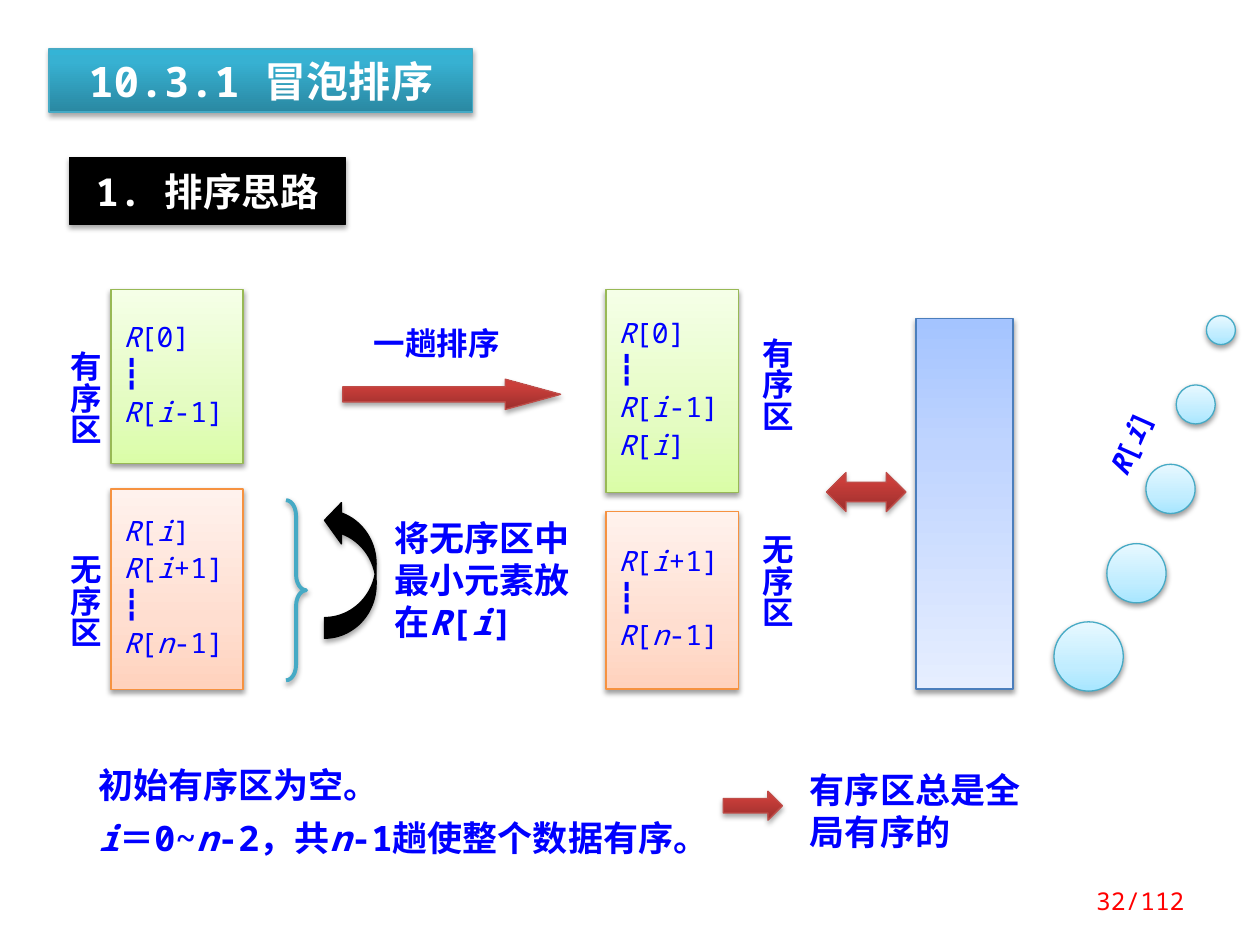
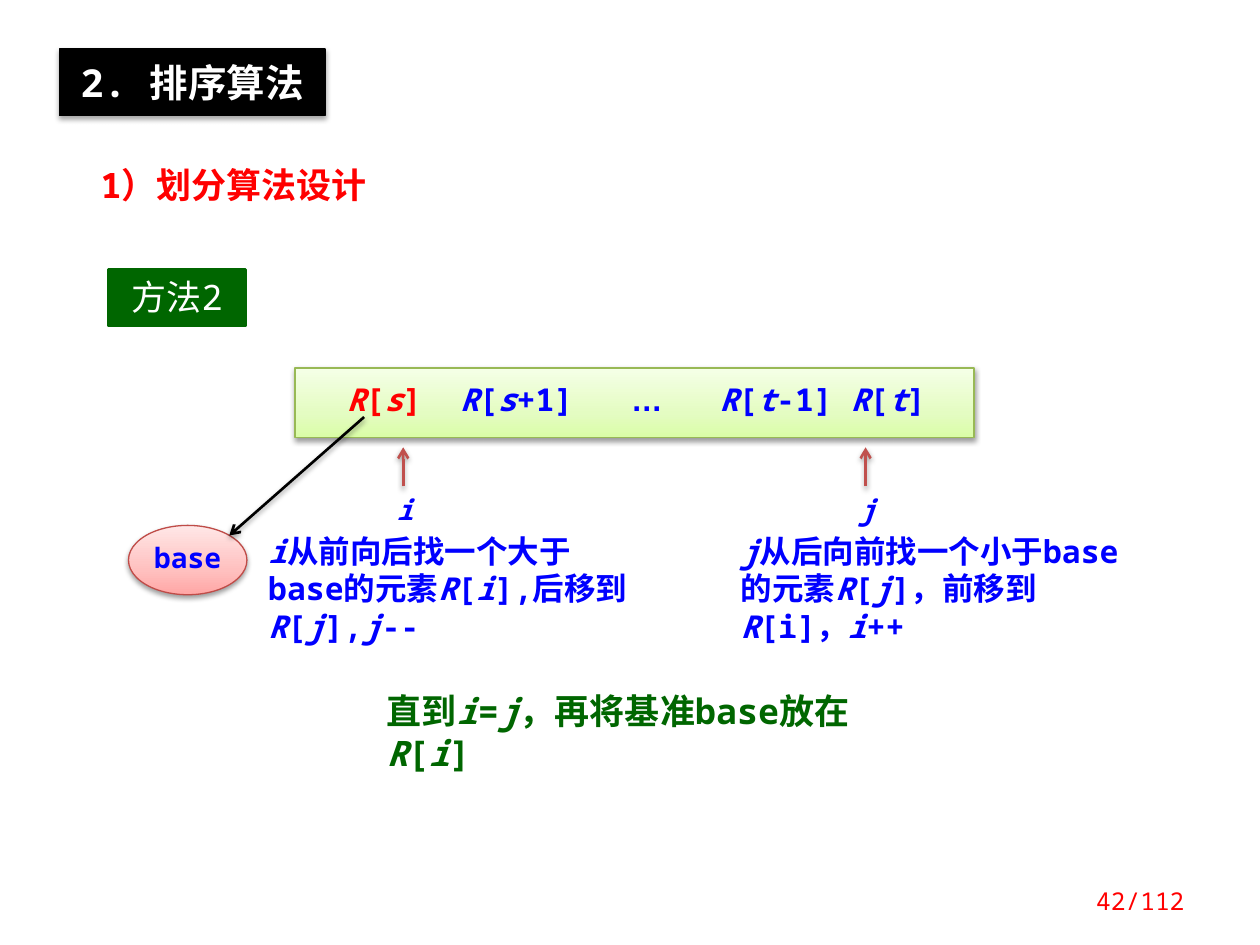
import pptx
import pptx.util
import pptx.dml.color
import pptx.enum.shapes
import pptx.enum.text
import pptx.oxml
import pptx.oxml.ns

# Content: text between asterisks is italic
HEADING = "10.3.1 冒泡排序"
PAGE_TOTAL = 112
SORTED, UNSORTED = "有序区", "无序区"
SORTED_BEFORE = ["*R*[0]", "┇", "*R*[*i*-1]"]
UNSORTED_BEFORE = ["*R*[*i*]", "*R*[*i*+1]", "┇", "*R*[*n*-1]"]
SORTED_AFTER = SORTED_BEFORE + ["*R*[*i*]"]
UNSORTED_AFTER = UNSORTED_BEFORE[1:]

# Zone boxes: items, style, (left, top, width, height), label, label place
ZONES = [
    (SORTED_BEFORE, "sorted", (0.88, 2.3, 1.05, 1.38), SORTED, (0.38, 2.69, 0.44, 1.18), 0.8),
    (UNSORTED_BEFORE, "unsorted", (0.88, 3.88, 1.05, 1.59), UNSORTED, (0.38, 4.3, 0.44, 1.18), 0.8),
    (SORTED_AFTER, "sorted", (4.81, 2.3, 1.05, 1.61), SORTED, (5.87, 2.58, 0.5, 1.18), 1),
    (UNSORTED_AFTER, "unsorted", (4.81, 4.06, 1.05, 1.41), UNSORTED, (5.87, 4.14, 0.5, 1.18), 1),
]
BUBBLE_CENTRES = [(8.64, 5.21), (9.02, 4.55), (9.29, 3.88), (9.49, 3.21), (9.69, 2.62)]
BUBBLE_SIZE, BUBBLE_STEP = 0.55, 0.08
RED_ARROWS = [
    ("RIGHT_ARROW", (2.72, 3.01, 1.73, 0.24), (0.5, 1.83)),
    ("LEFT_RIGHT_ARROW", (6.56, 3.75, 0.63, 0.31), ()),
    ("RIGHT_ARROW", (5.74, 6.28, 0.47, 0.23), ()),
]
SORT_NOTES = [
    (["将无序区中最小元素放在*R*[*i*]"], (3.03, 4.05, 1.65, 1.11), {"size": 20}),
    (["一趟排序"], (2.87, 2.58, 1.27, 0.34), {"size": 18, "spacing": 0.8}),
    (["初始有序区为空。", "*i*＝0~*n*-2，共*n*-1趟使整个数据有序。"], (0.62, 5.94, 4.92, 1),
     {"size": 20, "insets": (0.16, 0.12, 0.1, 0.12)}),
    (["有序区总是全局有序的"], (6.33, 6.05, 1.95, 0.77), {"size": 20}),
]

ARRAY_CELLS = [("*R*[*s*]\t", {"color": "red"}), ("*R*[*s*+1]\t", {}),
               ("…\t", {"font": "Arial"}), ("*R*[*t*-1]\t*R*[*t*]", {})]
ARRAY_TABS = [0.9, 2.26, 2.96, 4]
# Index pointers: name, arrow x, rule, rule place
POINTERS = [
    ("*i*", 3.2, "*i*从前向后找一个大于base的元素*R*[*i*],后移到*R*[*j*],*j*--", (2.03, 4.17, 3.13, 1.01)),
    ("*j*", 6.87, "*j*从后向前找一个小于base的元素*R*[*j*]，前移到*R*[i]，*i*++", (5.78, 4.17, 3.2, 1.01)),
]
PARTITION_NOTES = [
    (["直到*i*=*j*，再将基准base放在*R*[*i*]"], (2.97, 5.42, 4.3, 0.44), {"size": 20, "color": "green"}),
    (["1）划分算法设计"], (0.7, 1.25, 2.58, 0.44), {"size": 20, "color": "red"}),
]

# Look
FONT = "Noto Sans Mono"
COLORS = {"blue": "0000FF", "red": "FF0000", "green": "006600", "white": "FFFFFF",
          "black": "000000", "teal": "46AAC5", "pointer": "C0504D"}
# Style: gradient stops (or one colour), line colour, shadow opacity, gradient angle
STYLES = {
    "heading": ([(0, "2A88A2"), (80, "37B1D2"), (100, "34B4D6")], "46AAC5", 35, 270),
    "bubble": ([(0, "A7E6FF"), (35, "C1EDFF"), (100, "E7F8FF")], "46AAC5", 38, 270),
    "sorted": ([(0, "DAFDA7"), (35, "E4FCC2"), (100, "F5FFE7")], "98B955", 38, 270),
    "unsorted": ([(0, "FFD2BD"), (35, "FFDED0"), (100, "FFF2ED")], "F69240", 38, 270),
    "arrow": ([(0, "9C2F2D"), (80, "CB3E3A"), (100, "CE3B37")], "BF4C48", 35, 270),
    "beaker": ([(0, "A4C4FF"), (35, "BFD4FF"), (100, "E6EEFF")], "4B7EBC", 38, 90),
    "base": ([(0, "FFA6A5"), (35, "FFC0BF"), (100, "FFE7E7")], "BF4C48", 38, 270),
    "black": ("000000", "000000", 35, 0),
    "method": ("006600", "006600", 0, 0),
}
NS = 'xmlns:a="http://schemas.openxmlformats.org/drawingml/2006/main"'
SHAPE = pptx.enum.shapes.MSO_SHAPE
ALIGN = pptx.enum.text.PP_ALIGN
ANCHOR = pptx.enum.text.MSO_ANCHOR

prs = pptx.Presentation()
prs.slide_width = pptx.util.Inches(10)
prs.slide_height = pptx.util.Inches(7.5)
UNIT = prs.slide_width // 10  # square grid of 10 columns by 7.5 rows


def grid(*lengths):
    return [round(n * UNIT) for n in lengths]


def rgb(value):
    return pptx.dml.color.RGBColor.from_string(COLORS.get(value, value))


def add_xml(parent, xml):
    parent.append(pptx.oxml.parse_xml(xml))


def add_shadow(effects, opacity):
    add_xml(effects, f'<a:outerShdw {NS} blurRad="39400" dist="21600" dir="5400000" rotWithShape="0">'
                     f'<a:srgbClr val="000000"><a:alpha val="{opacity * 1000}"/></a:srgbClr></a:outerShdw>')


def add_runs(p, marked, size, color="blue", bold=True, font=FONT):
    """Add runs to p, switching italic at each asterisk."""
    for k, part in enumerate(marked.split("*")):
        if not part:
            continue
        r = p.add_run()
        r.text = part
        for name, value in {"size": pptx.util.Pt(size), "bold": bold,
                            "italic": k % 2 == 1, "name": font}.items():
            setattr(r.font, name, value)
        r.font.color.rgb = rgb(color)
        add_xml(r.font._element, f'<a:ea {NS} typeface="{font}"/>')


def write(sp, lines, align="LEFT", anchor="TOP", spacing=1, gap=6,
          insets=(0.1, 0.05, 0.1, 0.05), **look):
    tf = sp.text_frame
    margins = zip(("margin_left", "margin_top", "margin_right", "margin_bottom"), grid(*insets))
    for name, value in {"word_wrap": True, "vertical_anchor": ANCHOR[anchor], **dict(margins)}.items():
        setattr(tf, name, value)
    for k, line in enumerate(lines):
        p = tf.add_paragraph() if k else tf.paragraphs[0]
        p.alignment, p.line_spacing = ALIGN[align], spacing
        if k:
            p.space_before = pptx.util.Pt(gap)
        add_runs(p, line, **look)
    return sp


def add_text(s, lines, place, **look):
    return write(s.shapes.add_textbox(*grid(*place)), lines, **look)


def add_shape(s, kind, place, style, adjustments=(), line_width=0.75):
    sp = s.shapes.add_shape(SHAPE[kind], *grid(*place))
    fill, line, opacity, angle = STYLES[style]
    if isinstance(fill, str):
        sp.fill.solid()
        sp.fill.fore_color.rgb = rgb(fill)
    else:
        sp.fill.gradient()
        old = sp._element.spPr.find(pptx.oxml.ns.qn("a:gradFill"))
        stops = "".join(f'<a:gs pos="{at * 1000}"><a:srgbClr val="{c}"/></a:gs>' for at, c in fill)
        old.getparent().replace(old, pptx.oxml.parse_xml(
            f'<a:gradFill {NS} rotWithShape="1"><a:gsLst>{stops}</a:gsLst>'
            f'<a:lin ang="{angle * 60000}" scaled="0"/></a:gradFill>'))
    sp.line.color.rgb = rgb(line)
    sp.line.width = pptx.util.Pt(line_width)
    sp.shadow.inherit = False
    if opacity:
        add_shadow(sp._element.spPr.find(pptx.oxml.ns.qn("a:effectLst")), opacity)
    for k, value in enumerate(adjustments):
        sp.adjustments[k] = value
    return sp


def add_arrow(s, start, end, color):
    c = s.shapes.add_connector(pptx.enum.shapes.MSO_CONNECTOR.STRAIGHT, *grid(*start, *end))
    c.line.color.rgb = rgb(color)
    c.line.width = pptx.util.Pt(1.5)
    add_xml(c.line._get_or_add_ln(), f'<a:tailEnd {NS} type="arrow"/>')
    spPr = c._element.spPr
    add_xml(spPr, f"<a:effectLst {NS}/>")
    add_shadow(spPr[-1], 38)


def add_section(s, title, place):
    write(add_shape(s, "RECTANGLE", place, "black"), [title], align="CENTER",
          insets=(0.1, 0.08, 0.1, 0.08), size=22, color="white")


def new_slide(page):
    s = prs.slides.add_slide(prs.slide_layouts[6])
    add_text(s, [f"{page}/{PAGE_TOTAL}"], (8.28, 6.95, 1.22, 0.4), align="RIGHT",
             anchor="MIDDLE", size=14, color="red", bold=False)
    return s


def build_idea_slide():
    s = new_slide(32)
    write(add_shape(s, "RECTANGLE", (0.39, 0.39, 3.36, 0.5), "heading"), [HEADING],
          align="CENTER", size=24, color="white")
    add_section(s, "1. 排序思路", (0.55, 1.25, 2.19, 0.53))
    for k, (x, y) in enumerate(BUBBLE_CENTRES):
        d = BUBBLE_SIZE - k * BUBBLE_STEP
        add_shape(s, "OVAL", (x - d / 2, y - d / 2, d, d), "bubble")
    for items, style, place, label, label_place, spacing in ZONES:
        write(add_shape(s, "RECTANGLE", place, style), items, anchor="MIDDLE",
              spacing=0.8, size=16, bold=False)
        tb = add_text(s, [label], label_place, spacing=spacing, size=18)
        tb.text_frame._txBody.bodyPr.set("vert", "eaVert")
    brace = add_shape(s, "RIGHT_BRACE", (2.27, 3.97, 0.16, 1.43), "bubble", (0.78, 0.5), 2.25)
    brace.fill.background()
    brace.shadow.inherit = False
    lift = add_shape(s, "CURVED_UP_ARROW", (2.23, 4.31, 1.1, 0.41), "black", (0.4, 0.8, 0.33))
    lift.rotation = 270
    add_shape(s, "RECTANGLE", (7.27, 2.53, 0.77, 2.94), "beaker")
    for kind, place, adjustments in RED_ARROWS:
        add_shape(s, kind, place, "arrow", adjustments)
    for lines, place, look in SORT_NOTES:
        add_text(s, lines, place, **look)
    tag = add_text(s, ["*R*[*i*]"], (8.6, 3.37, 0.79, 0.32), align="CENTER", spacing=0.8, size=16)
    tag.rotation = 294


def build_partition_slide():
    s = new_slide(42)
    add_section(s, "2. 排序算法", (0.47, 0.39, 2.11, 0.53))
    array = write(add_shape(s, "RECTANGLE", (2.34, 2.92, 5.39, 0.55), "sorted"), [""], size=18,
                  anchor="MIDDLE", spacing=0.8, insets=(0.41, 0.05, 0.1, 0.05))
    p = array.text_frame.paragraphs[0]
    tabs = "".join(f'<a:tab pos="{x}" algn="l"/>' for x in grid(*ARRAY_TABS))
    add_xml(p._p.get_or_add_pPr(), f"<a:tabLst {NS}>{tabs}</a:tabLst>")
    for text, look in ARRAY_CELLS:
        add_runs(p, text, 18, **look)
    for name, x, rule, rule_place in POINTERS:
        add_text(s, [name], (x - 0.15, 3.86, 0.39, 0.37), size=16)
        add_arrow(s, (x, 3.86), (x, 3.55), "pointer")
        add_text(s, [rule], rule_place, size=18)
    write(add_shape(s, "OVAL", (1.02, 4.17, 0.94, 0.55), "base"), ["base"], align="CENTER",
          anchor="MIDDLE", spacing=0.8, insets=(0, 0.05, 0, 0.05), size=16)
    add_arrow(s, (2.89, 3.31), (1.82, 4.25), "black")
    for lines, place, look in PARTITION_NOTES:
        add_text(s, lines, place, **look)
    write(add_shape(s, "RECTANGLE", (0.86, 2.14, 1.09, 0.44), "method", line_width=2), ["方法2"],
          align="CENTER", size=20, color="white", bold=False)


if __name__ == "__main__":
    build_idea_slide()
    build_partition_slide()
    prs.save("out.pptx")
